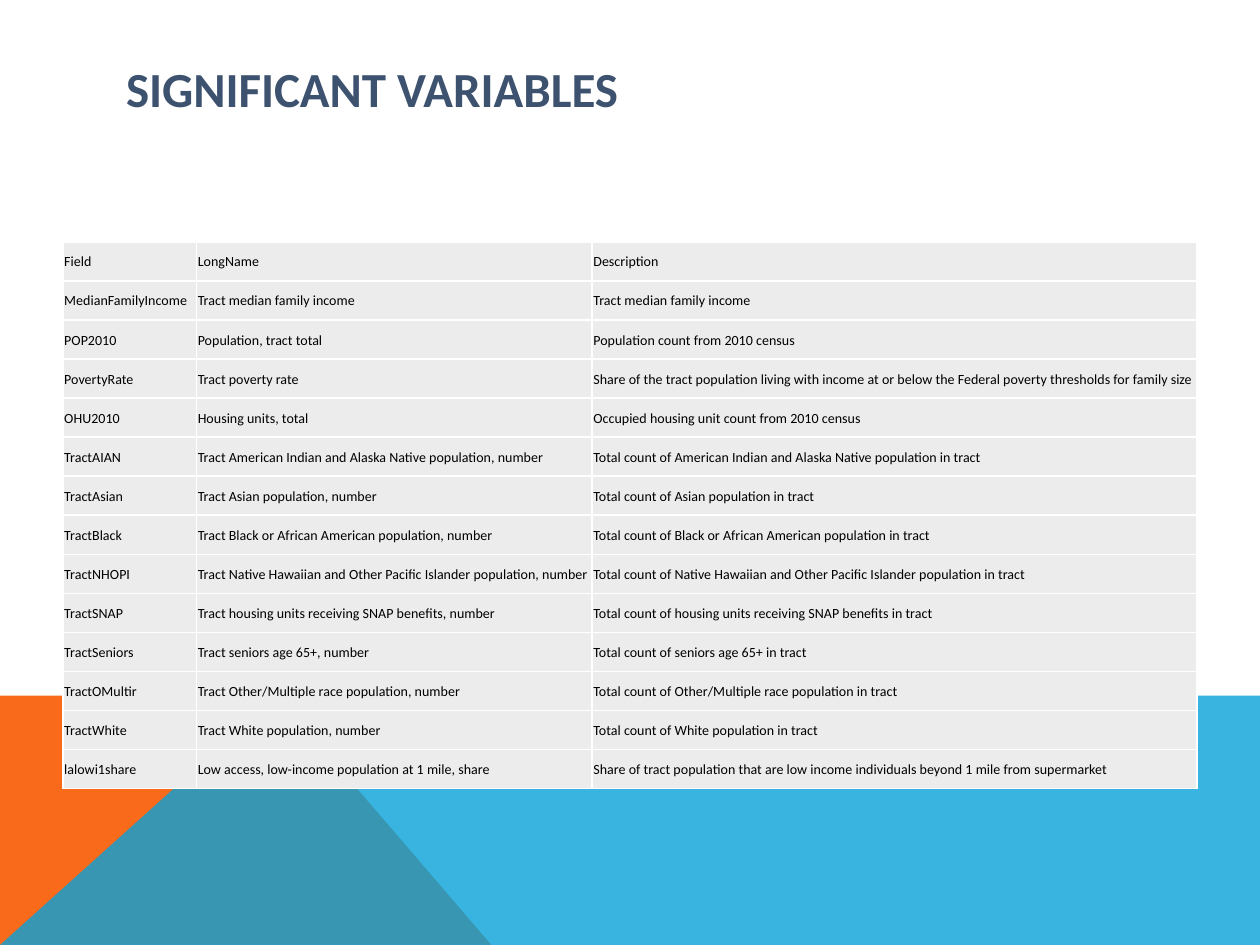
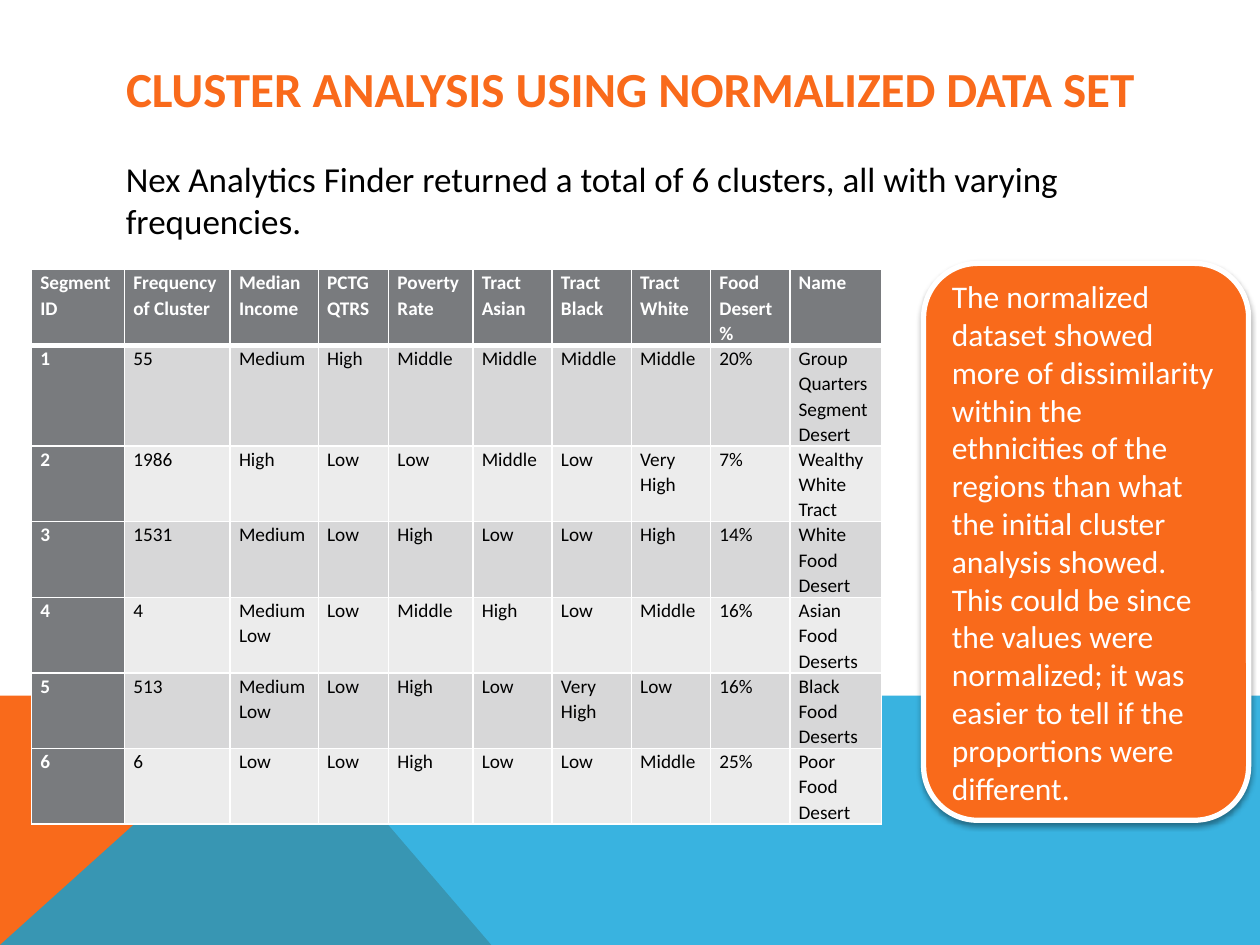
from pptx import Presentation
from pptx.dml.color import RGBColor
from pptx.enum.shapes import MSO_SHAPE
from pptx.enum.text import MSO_ANCHOR, MSO_AUTO_SIZE, PP_ALIGN
from pptx.oxml.ns import qn
from pptx.util import Inches, Pt
from lxml.etree import SubElement

WHITE = RGBColor(0xFF, 0xFF, 0xFF)
BLACK = RGBColor(0, 0, 0)
ORANGE = RGBColor(0xF9, 0x6A, 0x1B)
BLUE = RGBColor(0x08, 0xA1, 0xD9)
NAVY = RGBColor(0x3C, 0x52, 0x6F)
GREY = RGBColor(0x79, 0x7B, 0x7E)
SILVER = RGBColor(0xD7, 0xD7, 0xD8)
PALE = RGBColor(0xEC, 0xEC, 0xEC)
FACE = "Calibri"

WIDE, HIGH = Inches(10), Inches(7.5)
COLS, ROWS = 10, 7.5
BAND = (0, 5.52, 10, 1.98)
HEAD = (0.9, 0.4, 8.22, 0.6)
LEAD = (0.9, 1.2, 8.22, 0.9)
FIELDS = (0.5, 1.92, 9, 4.34)
GROUPS = (0.25, 2.14, 6.75, 4.4)
NOTE = (7.33, 2.09, 2.58, 4.42)

WEDGES = [
    (ORANGE, 100, [(0, 1), (0, 0), (0.22, 0), (0.39, 1)]),
    (BLUE, 80, [(0, 1), (0.22, 0), (1, 0), (1, 1)]),
]

VARS = [
    ("Field", "LongName", "Description"),
    ("MedianFamilyIncome", "Tract median family income", "Tract median family income"),
    ("POP2010", "Population, tract total", "Population count from 2010 census"),
    ("PovertyRate", "Tract poverty rate",
     "Share of the tract population living with income at or below "
     "the Federal poverty thresholds for family size"),
    ("OHU2010", "Housing units, total", "Occupied housing unit count from 2010 census"),
    ("TractAIAN", "Tract American Indian and Alaska Native population, number",
     "Total count of American Indian and Alaska Native population in tract"),
    ("TractAsian", "Tract Asian population, number",
     "Total count of Asian population in tract"),
    ("TractBlack", "Tract Black or African American population, number",
     "Total count of Black or African American population in tract"),
    ("TractNHOPI", "Tract Native Hawaiian and Other Pacific Islander population, number",
     "Total count of Native Hawaiian and Other Pacific Islander population in tract"),
    ("TractSNAP", "Tract housing units receiving SNAP benefits, number",
     "Total count of housing units receiving SNAP benefits in tract"),
    ("TractSeniors", "Tract seniors age 65+, number",
     "Total count of seniors age 65+ in tract"),
    ("TractOMultir", "Tract Other/Multiple race population, number",
     "Total count of Other/Multiple race population in tract"),
    ("TractWhite", "Tract White population, number",
     "Total count of White population in tract"),
    ("lalowi1share", "Low access, low-income population at 1 mile, share",
     "Share of tract population that are low income individuals "
     "beyond 1 mile from supermarket"),
]

SEGMENTS = [
    ("Segment ID", "Frequency of Cluster", "Median Income", "PCTG QTRS", "Poverty Rate",
     "Tract Asian", "Tract Black", "Tract White", "Food Desert %", "Name"),
    ("1", "55", "Medium", "High", "Middle", "Middle", "Middle", "Middle", "20%",
     "Group Quarters Segment\nDesert"),
    ("2", "1986", "High", "Low", "Low", "Middle", "Low", "Very High", "7%",
     "Wealthy White Tract"),
    ("3", "1531", "Medium", "Low", "High", "Low", "Low", "High", "14%",
     "White Food Desert"),
    ("4", "4", "Medium Low", "Low", "Middle", "High", "Low", "Middle", "16%",
     "Asian Food Deserts"),
    ("5", "513", "Medium Low", "Low", "High", "Low", "Very High", "Low", "16%",
     "Black Food Deserts"),
    ("6", "6", "Low", "Low", "High", "Low", "Low", "Middle", "25%",
     "Poor Food Desert"),
]


def place(box):
    x, y, w, h = box
    return (int(WIDE * x / COLS), int(HIGH * y / ROWS),
            int(WIDE * w / COLS), int(HIGH * h / ROWS))


def apply(part, **look):
    for key, value in look.items():
        setattr(part, key, value)


def paint(part, color):
    part.fill.solid()
    part.fill.fore_color.rgb = color


def write(frame, text, size, color, bold=False, **look):
    frame.text = text
    for par in frame.paragraphs:
        apply(par, alignment=PP_ALIGN.LEFT, **look)
        for run in par.runs:
            apply(run.font, name=FACE, size=Pt(size), bold=bold)
            run.font.color.rgb = color


def tint(node, color, alpha):
    clr = SubElement(node, qn("a:srgbClr"), val=str(color))
    SubElement(clr, qn("a:alpha"), val=str(alpha * 1000))


def band(slide, box):
    left, top, width, height = place(box)
    for color, alpha, shares in WEDGES:
        spots = [(left + int(width * x), top + int(height * y)) for x, y in shares]
        pen = slide.shapes.build_freeform(*spots[0])
        pen.add_line_segments(spots[1:], close=True)
        wedge = pen.convert_to_shape()
        wedge.shadow.inherit = False
        wedge.line.fill.background()
        paint(wedge, color)
        if alpha < 100:
            fill = wedge._element.spPr.find(qn("a:solidFill"))
            fill.remove(fill[0])
            tint(fill, color, alpha)


def title(slide, box, text, color):
    head = slide.shapes.title
    apply(head, **dict(zip(("left", "top", "width", "height"), place(box))))
    apply(head.text_frame, word_wrap=True, auto_size=MSO_AUTO_SIZE.NONE,
          vertical_anchor=MSO_ANCHOR.MIDDLE)
    write(head.text_frame, text, 28, color, True)


def lead(slide, box, text):
    frame = slide.shapes.add_textbox(*place(box)).text_frame
    frame.word_wrap = True
    write(frame, text, 20, BLACK, space_before=Pt(8))


def edge(cell, base):
    props = cell._tc.get_or_add_tcPr()
    for side, width in zip("LRTB", (1, 1, 1, base)):
        line = SubElement(props, qn("a:ln" + side), w=str(Pt(width)))
        fill = SubElement(line, qn("a:solidFill"))
        SubElement(fill, qn("a:srgbClr"), val=str(WHITE))


def grid(slide, box, rows, wide, tall, look, draw):
    left, top, width, height = place(box)
    table = slide.shapes.add_table(len(rows), len(wide), left, top, width, height).table
    apply(table, first_row=False, horz_banding=False)
    for col, share in zip(table.columns, wide):
        col.width = int(width * share / sum(wide))
    for row, share in zip(table.rows, tall):
        row.height = int(height * share / sum(tall))
    for r, line in enumerate(rows):
        for c, text in enumerate(line):
            cell = table.cell(r, c)
            apply(cell, **look)
            draw(cell, text, r, c)


def field(cell, text, r, c):
    edge(cell, 1)
    paint(cell, PALE)
    write(cell.text_frame, text, 8, BLACK)


def group(cell, text, r, c):
    key = r == 0 or c == 0
    edge(cell, 1 if r else 3)
    paint(cell, GREY if key else SILVER if r % 2 else PALE)
    write(cell.text_frame, text, 11, WHITE if key else BLACK, key, line_spacing=1.07)


def note(slide, box, text):
    card = slide.shapes.add_shape(MSO_SHAPE.ROUNDED_RECTANGLE, *place(box))
    card.shadow.inherit = False
    paint(card, ORANGE)
    card.line.color.rgb = WHITE
    card.line.width = Pt(3)
    glow = SubElement(card._element.spPr.find(qn("a:effectLst")), qn("a:outerShdw"),
                      blurRad=str(Pt(3.1)), dist=str(Pt(1.6)), dir="5400000",
                      rotWithShape="0")
    tint(glow, BLACK, 38)
    apply(card.text_frame, word_wrap=True, vertical_anchor=MSO_ANCHOR.MIDDLE)
    write(card.text_frame, text, 18, WHITE)


def start(deck, text, color):
    slide = deck.slides.add_slide(deck.slide_layouts[5])
    band(slide, BAND)
    title(slide, HEAD, text, color)
    return slide


def fields(deck):
    slide = start(deck, "SIGNIFICANT VARIABLES", NAVY)
    thin = Inches(0.01)
    look = dict(margin_left=thin, margin_right=thin, margin_top=thin, margin_bottom=0,
                vertical_anchor=MSO_ANCHOR.MIDDLE)
    grid(slide, FIELDS, VARS, (1.06, 3.14, 4.8), [1] * len(VARS), look, field)


def groups(deck):
    slide = start(deck, "CLUSTER ANALYSIS USING NORMALIZED DATA SET", ORANGE)
    lead(slide, LEAD, "Nex Analytics Finder returned a total of 6 clusters, "
                      "all with varying frequencies.")
    side = Inches(0.07)
    look = dict(margin_left=side, margin_right=side, margin_top=0, margin_bottom=0)
    wide = (0.74, 0.84, 0.7, 0.56, 0.67, 0.63, 0.63, 0.63, 0.63, 0.73)
    grid(slide, GROUPS, SEGMENTS, wide, (3, 4, 3, 3, 3, 3, 3), look, group)
    note(slide, NOTE, "The normalized dataset showed more of dissimilarity within the "
                      "ethnicities of the regions than what the initial cluster analysis "
                      "showed. This could be since the values were normalized; it was "
                      "easier to tell if the proportions were different.")


def main():
    deck = Presentation()
    apply(deck, slide_width=WIDE, slide_height=HIGH)
    fields(deck)
    groups(deck)
    deck.save("out.pptx")


if __name__ == "__main__":
    main()
